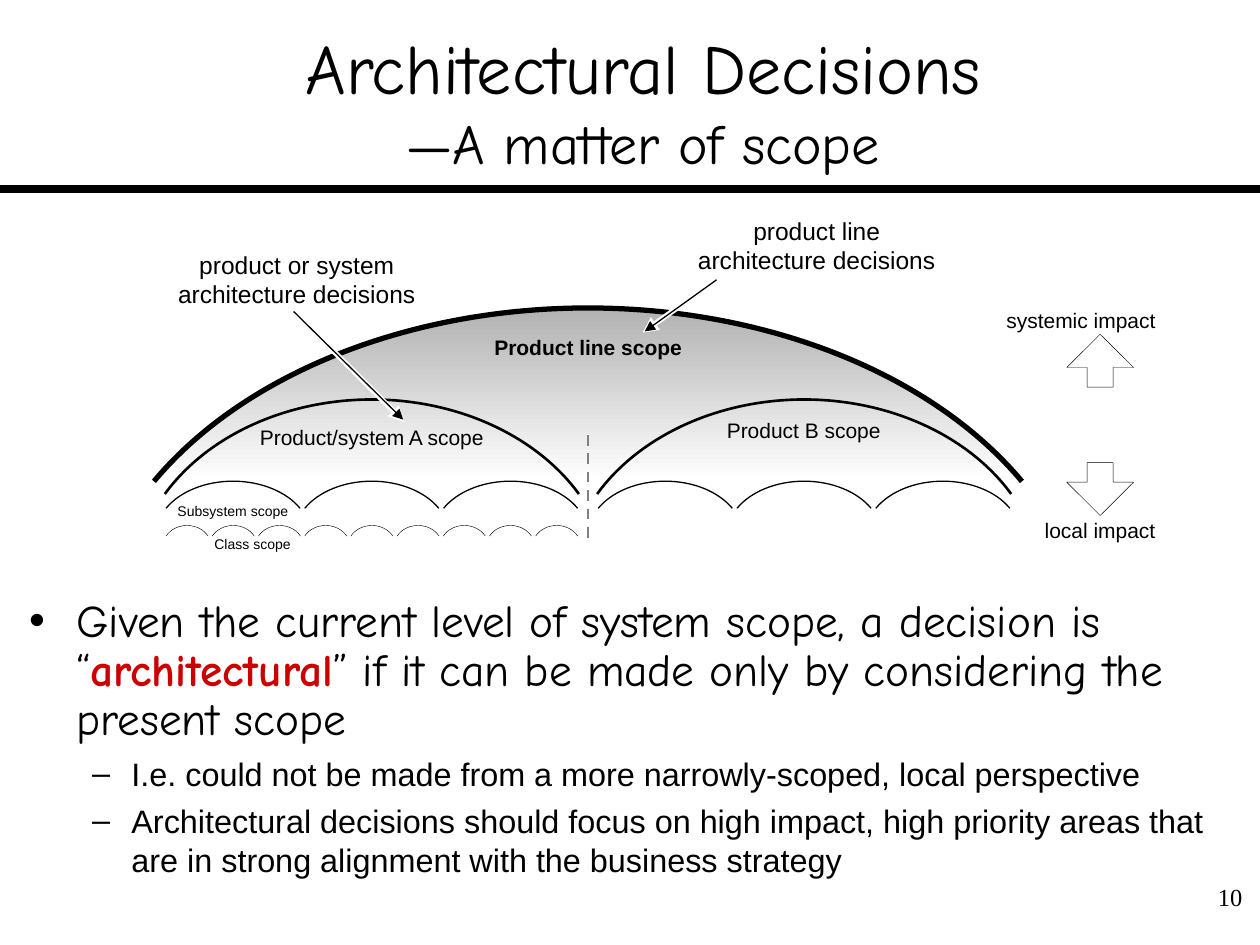
from dataclasses import dataclass
from math import cos, radians, sin, tan

from lxml.etree import SubElement
from pptx import Presentation
from pptx.dml.color import RGBColor
from pptx.enum.dml import MSO_LINE
from pptx.enum.shapes import MSO_CONNECTOR, MSO_SHAPE
from pptx.enum.text import MSO_ANCHOR, MSO_AUTO_SIZE, PP_ALIGN
from pptx.oxml.ns import qn
from pptx.util import Pt

BLACK = RGBColor(0x00, 0x00, 0x00)
WHITE = RGBColor(0xFF, 0xFF, 0xFF)
GREY = RGBColor(0x80, 0x80, 0x80)
DOME_GREY = RGBColor(0xB2, 0xB2, 0xB2)
RED = RGBColor(0xCC, 0x00, 0x00)
HAND = "Comic Neue"
SANS = "Arial"
SERIF = "Times New Roman"

MIDDLE_X = 336
PRODUCT_CENTERS = (212.5, 459.5)
SUBSYSTEM_PITCH = 79.3
CLASS_PITCH = 26.4


@dataclass
class Scope:
    """Arc from 30 to 150 degrees of an ellipse around (x, y)."""
    x: float
    y: float
    half_width: float
    radius: float
    weight: float


@dataclass
class Label:
    text: str
    left: float
    top: float
    width: float
    height: float
    size: float = 12
    bold: bool = False
    wrap: bool = False


@dataclass
class Line:
    start: tuple[float, float]
    end: tuple[float, float]
    color: RGBColor
    weight: float
    arrow: bool = False
    dashed: bool = False


LABELS = (
    Label("Product/system A scope", 147, 242.6, 131, 14.4),
    Label("Product B scope", 414.7, 238.7, 89.3, 14.4),
    Label("Product line scope", 281.8, 191.2, 108.7, 14.4, bold=True),
    Label("Subsystem scope", 100.8, 287.3, 64.8, 9.4, size=8),
    Label("Class scope", 121.7, 306, 45.4, 9.4, size=8),
    Label("product or system architecture decisions",
          99.4, 142.6, 140.4, 33.8, size=14, wrap=True),
    Label("product line architecture decisions",
          396.9, 123.4, 139.7, 33.8, size=14, wrap=True),
    Label("systemic impact", 574.2, 175.7, 87.1, 14.4),
    Label("local impact", 596.2, 295.6, 64.8, 14.4),
)
LINES = (
    Line((0, 108), (720, 108), BLACK, 4.5),
    Line((MIDDLE_X, 248.6), (MIDDLE_X, 309.6), GREY, 1.5, dashed=True),
    Line((169.2, 179.3), (231.1, 241.2), WHITE, 3, arrow=True),
    Line((407.5, 161.3), (367.2, 190.1), WHITE, 3, arrow=True),
    Line((167.8, 178), (230.4, 239.8), BLACK, 0.75, arrow=True),
    Line((409.5, 159.9), (368.4, 189.4), BLACK, 0.75, arrow=True),
)


def add_text(paragraph, text: str, *, size: float, font: str = SANS,
             color: RGBColor = BLACK, bold: bool = False) -> None:
    run = paragraph.add_run()
    run.text = text
    run.font.size = Pt(size)
    run.font.name = font
    run.font.color.rgb = color
    run.font.bold = bold


def set_frame(shape, box: tuple, margins: tuple, anchor=MSO_ANCHOR.TOP,
              wrap: bool = True):
    """Place a text shape and return its text frame."""
    shape.left, shape.top, shape.width, shape.height = map(Pt, box)
    frame = shape.text_frame
    frame.margin_left = frame.margin_right = Pt(margins[0])
    frame.margin_top = frame.margin_bottom = Pt(margins[1])
    frame.vertical_anchor = anchor
    frame.auto_size = MSO_AUTO_SIZE.NONE
    frame.word_wrap = wrap
    return frame


def add_label(slide, label: Label) -> None:
    box = (label.left, label.top, label.width, label.height)
    textbox = slide.shapes.add_textbox(*map(Pt, box))
    paragraph = set_frame(textbox, box, (0.7, 0), wrap=label.wrap).paragraphs[0]
    paragraph.alignment = PP_ALIGN.CENTER
    add_text(paragraph, label.text, size=label.size, bold=label.bold)


def add_line(slide, line: Line) -> None:
    connector = slide.shapes.add_connector(
        MSO_CONNECTOR.STRAIGHT, *map(Pt, line.start + line.end))
    connector.line.color.rgb = line.color
    connector.line.width = Pt(line.weight)
    if line.dashed:
        connector.line.dash_style = MSO_LINE.DASH
    outline = connector.line._get_or_add_ln()
    SubElement(outline, qn("a:round"))
    if line.arrow:
        SubElement(outline, qn("a:tailEnd"), type="triangle")
    SubElement(connector._element.spPr, qn("a:effectLst"))


def add_symmetric_curve(slide, half: list, center: tuple, closed: bool):
    """Draw a cubic Bezier, given from its left end to its top, and its mirror.

    An open curve has its center inside the frame of the shape."""
    mirror = [(2 * center[0] - x, y) for x, y in reversed(half[:-1])]
    start, *points = [(Pt(x), Pt(y)) for x, y in half + mirror]
    if closed:
        builder = slide.shapes.build_freeform(*start)
    else:
        builder = slide.shapes.build_freeform(*map(Pt, center))
        builder.move_to(*start)
    builder.add_line_segments(points, close=closed)
    curve = builder.convert_to_shape()
    segments = list(curve._element.iter(qn("a:lnTo")))
    for first in range(0, len(segments), 3):
        cubic = segments[first]
        cubic.tag = qn("a:cubicBezTo")
        for following in segments[first + 1:first + 3]:
            cubic.append(following[0])
            following.getparent().remove(following)
    curve.shadow.inherit = False
    return curve


def add_scope(slide, scope: Scope) -> None:
    low = radians(30)
    stretch = scope.half_width / cos(low)
    pull = 4 / 3 * tan(radians(15))
    left, bottom = scope.x - scope.half_width, scope.y - scope.radius * sin(low)
    top = scope.y - scope.radius
    half = [(left, bottom),
            (left + pull * stretch * sin(low), bottom - pull * scope.radius * cos(low)),
            (scope.x - pull * stretch, top),
            (scope.x, top)]
    arc = add_symmetric_curve(slide, half, (scope.x, scope.y), closed=False)
    arc.fill.background()
    arc.line.color.rgb = BLACK
    arc.line.width = Pt(scope.weight)


def add_dome(slide) -> None:
    """Shaded area under the product line arc."""
    half = [(89.3, 275), (89.3, 273.6), (164.9, 176), (MIDDLE_X, 176)]
    dome = add_symmetric_curve(slide, half, (MIDDLE_X, 275), closed=True)
    dome.line.fill.background()
    dome.fill.gradient()
    dome.fill.gradient_angle = 270
    for stop, color, position in zip(dome.fill.gradient_stops, (DOME_GREY, WHITE), (0, 1)):
        stop.color.rgb = color
        stop.position = position


def add_impact_arrow(slide, preset: MSO_SHAPE, top: float) -> None:
    arrow = slide.shapes.add_shape(preset, Pt(609.6), Pt(top), Pt(38.2), Pt(30.2))
    arrow.adjustments[0] = 0.39
    arrow.adjustments[1] = 0.63
    arrow.shadow.inherit = False
    arrow.fill.background()
    arrow.line.color.rgb = BLACK
    arrow.line.width = Pt(0.25)


def set_bullet(paragraph, bullet: str, margin: float, indent: float, before: float) -> None:
    paragraph.space_before = Pt(before)
    properties = paragraph._p.get_or_add_pPr()
    properties.set("marL", str(Pt(margin)))
    properties.set("indent", str(Pt(indent)))
    SubElement(properties, qn("a:buFont"), typeface=SANS)
    SubElement(properties, qn("a:buChar"), char=bullet)


def fill_title(title) -> None:
    heading = set_frame(title, (29.9, 12.2, 675.4, 90), (0, 3.6),
                        MSO_ANCHOR.MIDDLE).paragraphs[0]
    heading.alignment = PP_ALIGN.CENTER
    add_text(heading, "Architectural Decisions", size=40, font=HAND)
    heading.add_line_break()
    add_text(heading, "—A matter of scope", size=32, font=HAND)


def fill_body(body) -> None:
    frame = set_frame(body, (16.6, 341.8, 691.2, 175), (0, 0))
    definition = frame.paragraphs[0]
    definition.line_spacing = 0.9
    set_bullet(definition, "•", 27, -27, 7)
    quoted = {"size": 25.9, "font": HAND}
    add_text(definition, "Given the current level of system scope, a decision is “", **quoted)
    add_text(definition, "architectural", color=RED, bold=True, **quoted)
    add_text(definition, "” if it can be made only by considering the present scope", **quoted)
    for remark in (
        "I.e. could not be made from a more narrowly-scoped, local perspective",
        "Architectural decisions should focus on high impact, high priority areas "
        "that are in strong alignment with the business strategy",
    ):
        paragraph = frame.add_paragraph()
        paragraph.level = 1
        set_bullet(paragraph, "–", 58.5, -22.5, 5)
        add_text(paragraph, remark, size=18.5)


def main() -> None:
    presentation = Presentation()
    presentation.slide_width, presentation.slide_height = Pt(720), Pt(540)
    slide = presentation.slides.add_slide(presentation.slide_layouts[1])
    fill_title(slide.shapes.title)
    fill_body(slide.placeholders[1])

    add_dome(slide)
    scopes = [Scope(MIDDLE_X, 374.2, 248, 198.2, 3)]
    for center in PRODUCT_CENTERS:
        scopes.append(Scope(center, 336.3, 118.3, 108, 1.5))
        scopes += [Scope(center + i * SUBSYSTEM_PITCH, 306, 38.3, 31, 0.75)
                   for i in (-1, 0, 1)]
    scopes += [Scope(PRODUCT_CENTERS[0] + i * CLASS_PITCH, 312.5, 12, 12.2, 0.25)
               for i in range(-4, 5)]
    for scope in scopes:
        add_scope(slide, scope)
    for label in LABELS:
        add_label(slide, label)
    for line in LINES:
        add_line(slide, line)
    add_impact_arrow(slide, MSO_SHAPE.UP_ARROW, 191)
    add_impact_arrow(slide, MSO_SHAPE.DOWN_ARROW, 264.4)

    number_box = (678.2, 500.4, 38.9, 36)
    number = slide.shapes.add_textbox(*map(Pt, number_box))
    paragraph = set_frame(number, number_box, (7.2, 3.6)).paragraphs[0]
    paragraph.alignment = PP_ALIGN.RIGHT
    add_text(paragraph, "10", size=14, font=SERIF)
    presentation.save("out.pptx")


if __name__ == "__main__":
    main()
